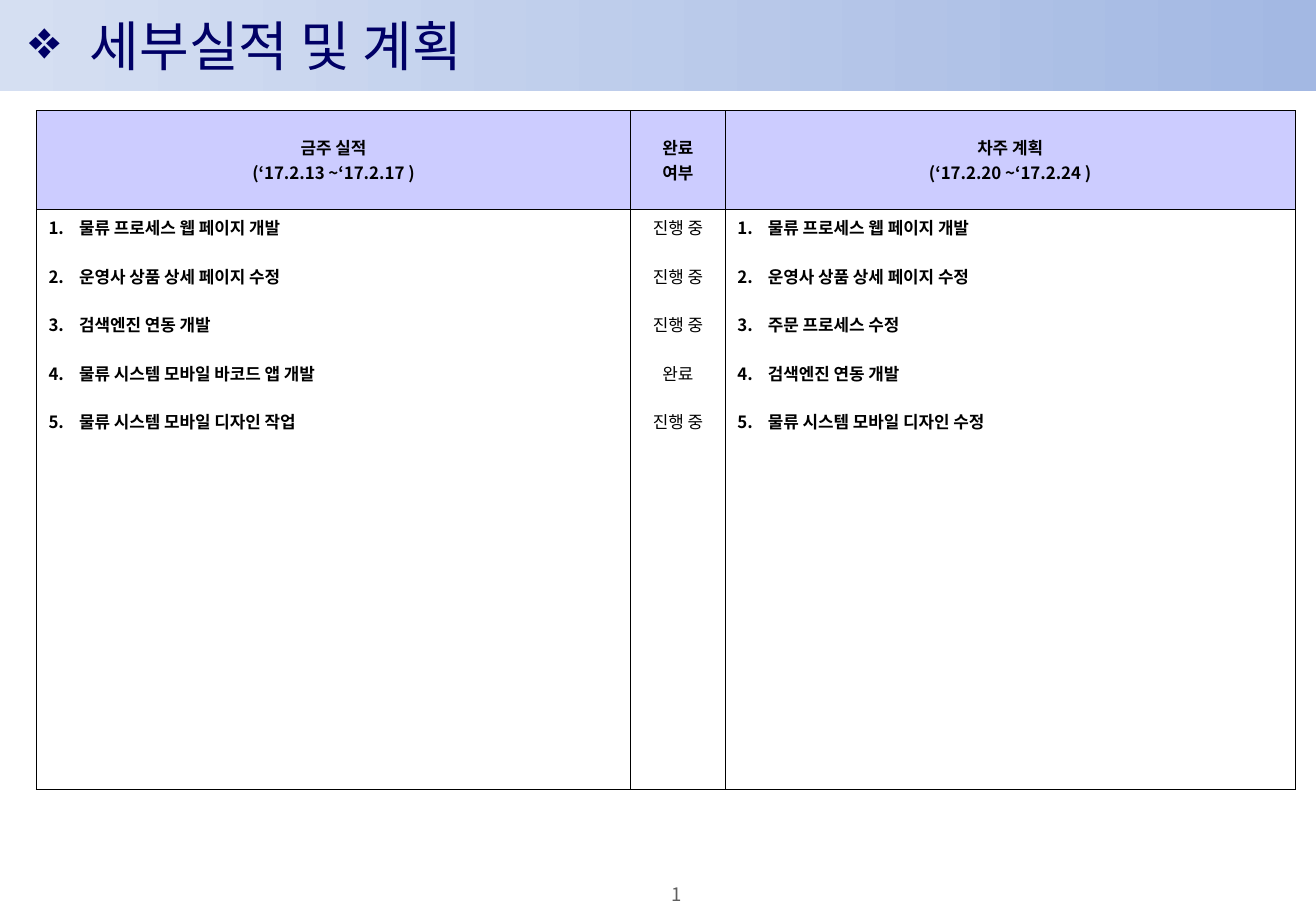
from lxml import etree
from pptx import Presentation
from pptx import util as u
from pptx.dml.color import RGBColor
from pptx.enum import shapes, text
from pptx.oxml import ns

COLOURS = {
    "band_left": "D5DFF2",
    "band_right": "A3B8E3",
    "title": "000066",
    "header": "CCCCFF",
    "ink": "000000",
    "number": "5F5F5F",
}
CENTER = text.PP_ALIGN.CENTER
LEFT = text.PP_ALIGN.LEFT


class ReportPage:
    font_name = "Noto Sans CJK KR"

    def __init__(self, deck):
        self.page = deck.slides.add_slide(deck.slide_layouts[6])

    def colour(self, name):
        return RGBColor.from_string(COLOURS[name])

    def fill_text(self, frame, lines, size, colour="ink", bold=False, align=LEFT,
                  bullet=None, indent=0, gap=0):
        for index, line in enumerate(lines):
            para = frame.paragraphs[0] if index == 0 else frame.add_paragraph()
            para.text = line
            para.alignment = align
            if index and gap:
                para.space_before = u.Pt(gap)
            if bullet:
                tag, attributes = bullet
                properties = para._p.get_or_add_pPr()
                properties.set("marL", str(u.Cm(indent)))
                properties.set("indent", str(-u.Cm(indent)))
                etree.SubElement(properties, ns.qn(tag), attributes)
            font = para.font
            font.name = self.font_name
            font.size = u.Pt(size)
            font.bold = bold
            font.color.rgb = self.colour(colour)
            etree.SubElement(para._p.pPr.find(ns.qn("a:defRPr")),
                             ns.qn("a:ea"), typeface=self.font_name)

    def band(self, left, top, width, height):
        band = self.page.shapes.add_shape(
            shapes.MSO_SHAPE.RECTANGLE, *map(u.Cm, (left, top, width, height)))
        band.shadow.inherit = False
        band.line.fill.background()
        band.fill.gradient()
        band.fill.gradient_angle = 0
        for stop, name in zip(band.fill.gradient_stops, ("band_left", "band_right")):
            stop.color.rgb = self.colour(name)

    def label(self, left, top, width, height, line, size, margin=True, **style):
        box = self.page.shapes.add_textbox(*map(u.Cm, (left, top, width, height)))
        frame = box.text_frame
        frame.word_wrap = True
        frame.vertical_anchor = text.MSO_ANCHOR.MIDDLE
        if not margin:
            frame.margin_left = frame.margin_right = 0
            frame.margin_top = frame.margin_bottom = 0
        self.fill_text(frame, [line], size, **style)

    def border(self, cell):
        properties = cell._tc.get_or_add_tcPr()
        for index, side in enumerate(("a:lnL", "a:lnR", "a:lnT", "a:lnB")):
            line = etree.Element(ns.qn(side), w=str(u.Pt(0.5)))
            fill = etree.SubElement(line, ns.qn("a:solidFill"))
            etree.SubElement(fill, ns.qn("a:srgbClr"), val=COLOURS["ink"])
            properties.insert(index, line)

    def table(self, left, top, widths, heights, columns):
        table = self.page.shapes.add_table(
            len(heights), len(widths),
            *map(u.Cm, (left, top, sum(widths), sum(heights)))).table
        for row, height in zip(table.rows, heights):
            row.height = u.Cm(height)
        for index, (width, (heading, items, style)) in enumerate(zip(widths, columns)):
            table.columns[index].width = u.Cm(width)
            header, body = table.cell(0, index), table.cell(1, index)
            header.fill.solid()
            header.fill.fore_color.rgb = self.colour("header")
            header.vertical_anchor = text.MSO_ANCHOR.MIDDLE
            body.fill.background()
            self.fill_text(header.text_frame, heading, 10, bold=True, align=CENTER)
            self.fill_text(body.text_frame, items, 10, gap=14.4, **style)
            self.border(header)
            self.border(body)


def main():
    deck = Presentation()
    deck.slide_width, deck.slide_height = u.Cm(27.51), u.Cm(19.05)
    report = ReportPage(deck)

    report.band(0, 0, 27.51, 1.9)
    report.label(12.95, 18.47, 2.39, 0.46, "1", 11, margin=False,
                 colour="number", align=CENTER)
    report.label(0.36, 0, 17.98, 1.9, "세부실적 및 계획", 32, colour="title",
                 bullet=("a:buChar", {"char": "❖"}), indent=1.27)

    numbered = {"bold": True, "indent": 0.64,
                "bullet": ("a:buAutoNum", {"type": "arabicPeriod"})}
    columns = [
        (["금주 실적", "(‘17.2.13 ~‘17.2.17 )"],
         ["물류 프로세스 웹 페이지 개발", "운영사 상품 상세 페이지 수정",
          "검색엔진 연동 개발", "물류 시스템 모바일 바코드 앱 개발",
          "물류 시스템 모바일 디자인 작업"], numbered),
        (["완료", "여부"],
         ["진행 중", "진행 중", "진행 중", "완료", "진행 중"], {"align": CENTER}),
        (["차주 계획", "(‘17.2.20 ~‘17.2.24 )"],
         ["물류 프로세스 웹 페이지 개발", "운영사 상품 상세 페이지 수정",
          "주문 프로세스 수정", "검색엔진 연동 개발",
          "물류 시스템 모바일 디자인 수정"], numbered),
    ]
    report.table(0.76, 2.31, [12.42, 1.98, 11.91], [2.06, 12.14], columns)
    deck.save("out.pptx")


if __name__ == "__main__":
    main()
